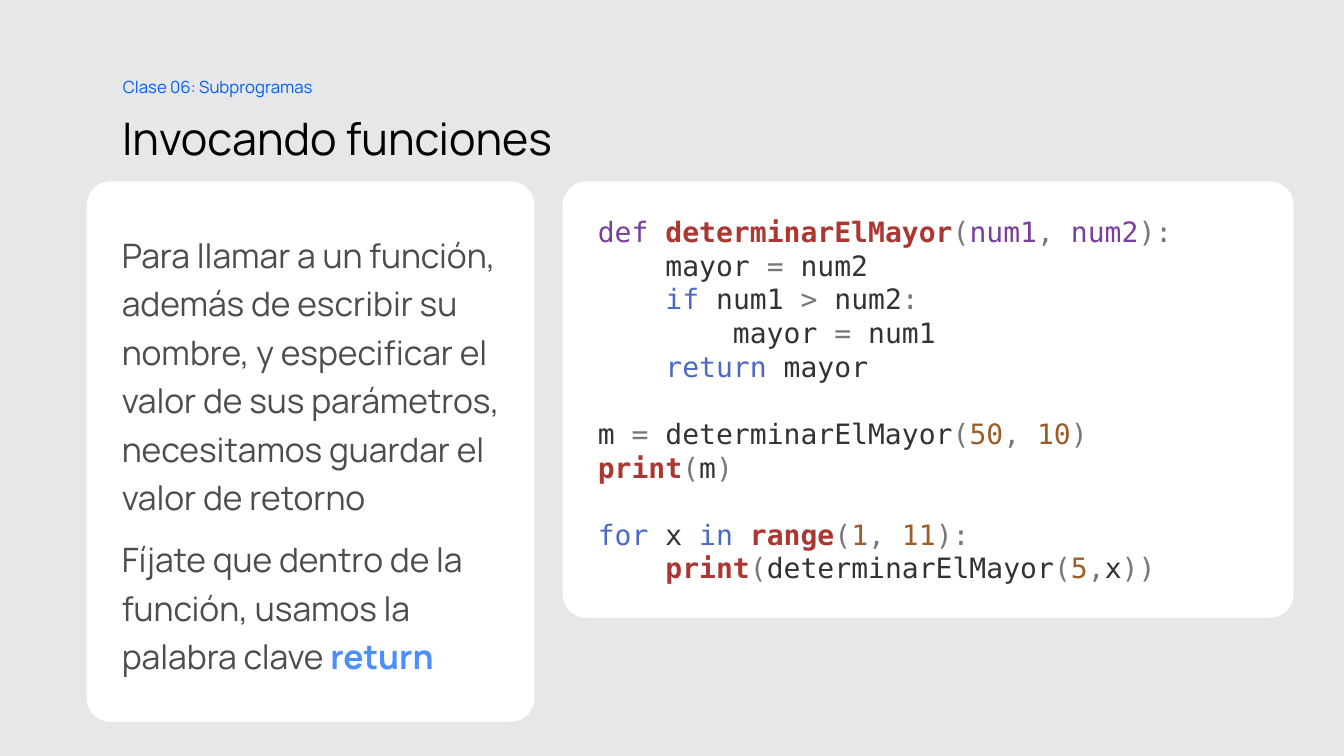
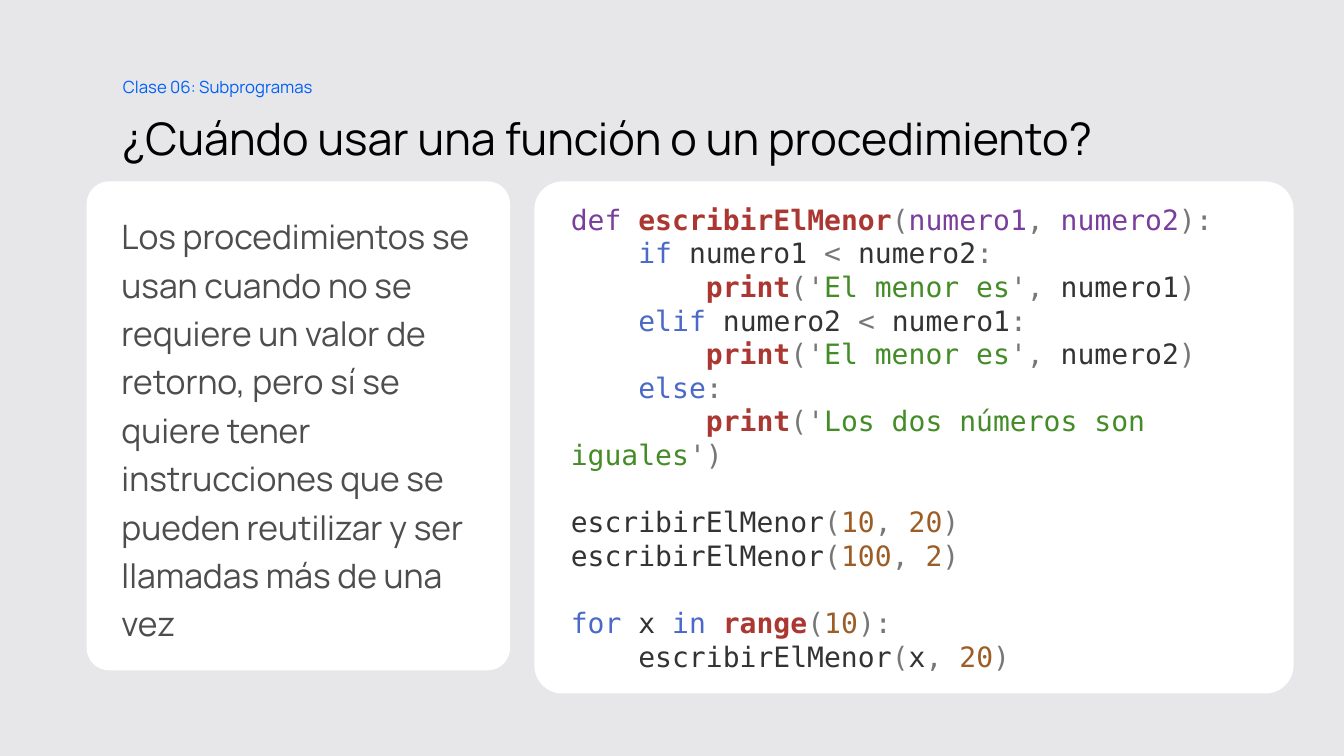
"""Build two lesson slides that pair an explanation card with a code card."""
from pptx import Presentation
from pptx.dml.color import RGBColor
from pptx.enum.shapes import MSO_SHAPE as Shape
from pptx.enum.text import MSO_ANCHOR as Anchor, PP_ALIGN as Align
from pptx.util import Inches, Pt

BACKGROUND = RGBColor(0xE7, 0xE7, 0xE9)
WHITE = RGBColor(0xFF, 0xFF, 0xFF)
BLACK = RGBColor(0x00, 0x00, 0x00)
BLUE = RGBColor(0x00, 0x5F, 0xF9)
PROSE = RGBColor(0x4D, 0x4D, 0x4D)
STRONG = RGBColor(0x4C, 0x8F, 0xFB)
PLAIN = RGBColor(0x33, 0x33, 0x33)
PUNCT = RGBColor(0x77, 0x77, 0x77)
PARAM = RGBColor(0x7A, 0x3E, 0x9D)
NAME = RGBColor(0xAA, 0x37, 0x31)
KEYWORD = RGBColor(0x4B, 0x69, 0xC6)
NUMBER = RGBColor(0x9C, 0x5D, 0x27)
STRING = RGBColor(0x44, 0x8C, 0x27)
BOLD_COLOURS = (STRONG, NAME)

SANS, MONO = "Manrope", "DejaVu Sans Mono"

prs = Presentation()
prs.slide_width, prs.slide_height = Inches(13.33), Inches(7.5)
COL, ROW = prs.slide_width / 100, prs.slide_height / 100
CARD_LEFT, CARD_RIGHT, CARD_TOP = 6.45, 96.25, 24


def write(frame, blocks, font, size, leading, gap, insets, anchor):
    """Fill a frame with blocks of lines, leaving a gap before each later block."""
    frame.word_wrap = True
    frame.vertical_anchor = anchor
    frame.margin_left, frame.margin_top, frame.margin_right, frame.margin_bottom = map(Inches, insets)
    paragraph = None
    for block in blocks:
        for position, line in enumerate(block):
            first = paragraph is None
            paragraph = frame.paragraphs[0] if first else frame.add_paragraph()
            paragraph.alignment = Align.LEFT
            paragraph.line_spacing = leading
            paragraph.space_before = Pt(0 if first or position else gap)
            for text, colour in line:
                run = paragraph.add_run()
                run.text = text
                run.font.name = font
                run.font.size = Pt(size)
                run.font.color.rgb = colour
                run.font.bold = colour in BOLD_COLOURS


def add_card(slide, left, width, height, rounding, blocks, font, size, leading, gap):
    """Draw a white rounded card, placed in shares of the slide, and fill it."""
    card = slide.shapes.add_shape(
        Shape.ROUNDED_RECTANGLE, int(left * COL), int(CARD_TOP * ROW), int(width * COL), int(height * ROW))
    card.adjustments[0] = rounding
    card.shadow.inherit = False
    card.fill.solid()
    card.fill.fore_color.rgb = WHITE
    card.line.fill.background()
    write(card.text_frame, blocks, font, size, leading, gap, (0.28, 0, 0.2, 0), Anchor.MIDDLE)


function_code = [
    [
        [("def ", PARAM), ("determinarElMayor", NAME), ("(", PUNCT), ("num1", PARAM),
         (", ", PUNCT), ("num2", PARAM), ("):", PUNCT)],
        [("    mayor ", PLAIN), ("=", PUNCT), (" num2", PLAIN)],
        [("    ", PLAIN), ("if", KEYWORD), (" num1 ", PLAIN), (">", PUNCT), (" num2", PLAIN), (":", PUNCT)],
        [("        mayor ", PLAIN), ("=", PUNCT), (" num1", PLAIN)],
        [("    ", PLAIN), ("return", KEYWORD), (" mayor", PLAIN)],
    ],
    [
        [("m ", PLAIN), ("=", PUNCT), (" determinarElMayor", PLAIN), ("(", PUNCT),
         ("50", NUMBER), (", ", PUNCT), ("10", NUMBER), (")", PUNCT)],
        [("print", NAME), ("(", PUNCT), ("m", PLAIN), (")", PUNCT)],
    ],
    [
        [("for", KEYWORD), (" x ", PLAIN), ("in ", KEYWORD), ("range", NAME), ("(", PUNCT),
         ("1", NUMBER), (", ", PUNCT), ("11", NUMBER), ("):", PUNCT)],
        [("    ", PLAIN), ("print", NAME), ("(", PUNCT), ("determinarElMayor", PLAIN), ("(", PUNCT),
         ("5", NUMBER), (",", PUNCT), ("x", PLAIN), ("))", PUNCT)],
    ],
]

procedure_code = [
    [
        [("def ", PARAM), ("escribirElMenor", NAME), ("(", PUNCT), ("numero1", PARAM),
         (", ", PUNCT), ("numero2", PARAM), ("):", PUNCT)],
        [("    ", PLAIN), ("if", KEYWORD), (" numero1 ", PLAIN), ("<", PUNCT), (" numero2", PLAIN), (":", PUNCT)],
        [("        ", PLAIN), ("print", NAME), ("('", PUNCT), ("El menor es", STRING),
         ("',", PUNCT), (" numero1", PLAIN), (")", PUNCT)],
        [("    ", PLAIN), ("elif", KEYWORD), (" numero2 ", PLAIN), ("<", PUNCT), (" numero1", PLAIN), (":", PUNCT)],
        [("        ", PLAIN), ("print", NAME), ("('", PUNCT), ("El menor es", STRING),
         ("',", PUNCT), (" numero2", PLAIN), (")", PUNCT)],
        [("    ", PLAIN), ("else", KEYWORD), (":", PUNCT)],
        [("        ", PLAIN), ("print", NAME), ("('", PUNCT), ("Los dos números son iguales", STRING), ("')", PUNCT)],
    ],
    [
        [("escribirElMenor", PLAIN), ("(", PUNCT), ("10", NUMBER), (", ", PUNCT), ("20", NUMBER), (")", PUNCT)],
        [("escribirElMenor", PLAIN), ("(", PUNCT), ("100", NUMBER), (", ", PUNCT), ("2", NUMBER), (")", PUNCT)],
    ],
    [
        [("for", KEYWORD), (" x ", PLAIN), ("in ", KEYWORD), ("range", NAME), ("(", PUNCT),
         ("10", NUMBER), ("):", PUNCT)],
        [("    escribirElMenor", PLAIN), ("(", PUNCT), ("x", PLAIN), (", ", PUNCT), ("20", NUMBER), (")", PUNCT)],
    ],
]

function_prose = [
    [[("Para llamar a un función, además de escribir su nombre, y especificar el valor de sus "
       "parámetros, necesitamos guardar el valor de retorno", PROSE)]],
    [[("Fíjate que dentro de la función, usamos la palabra clave ", PROSE), ("return", STRONG)]],
]

procedure_prose = [
    [[("Los procedimientos se usan cuando no se requiere un valor de retorno, pero sí se quiere "
       "tener instrucciones que se pueden reutilizar y ser llamadas más de una vez", PROSE)]],
]

lessons = [
    ("Invocando funciones", function_prose, (33.31, 71.47), function_code, (54.39, 57.73)),
    ("¿Cuándo usar una función o un procedimiento?", procedure_prose, (31.5, 64.67),
     procedure_code, (56.49, 67.73)),
]

for title, prose, prose_size, code, code_size in lessons:
    slide = prs.slides.add_slide(prs.slide_layouts[6])
    slide.background.fill.solid()
    slide.background.fill.fore_color.rgb = BACKGROUND

    headings = [
        (title, BLACK, 32, 0.9, (9.08, 13.33, 81.4, 10), (0, 0.1, 0.1, 0.05), Anchor.MIDDLE),
        ("Clase 06: Subprogramas", BLUE, 12, 1.2, (9.15, 8.93, 16.43, 4.53), (0, 0.05, 0.1, 0.05), Anchor.TOP),
    ]
    for text, colour, size, leading, (left, top, width, height), insets, anchor in headings:
        heading = slide.shapes.add_textbox(int(left * COL), int(top * ROW), int(width * COL), int(height * ROW))
        write(heading.text_frame, [[[(text, colour)]]], SANS, size, leading, 0, insets, anchor)

    add_card(slide, CARD_RIGHT - code_size[0], *code_size, 0.055, code, MONO, 20, 1.0, 24)
    add_card(slide, CARD_LEFT, *prose_size, 0.053, prose, SANS, 24, 1.2, 10)

prs.save("out.pptx")
